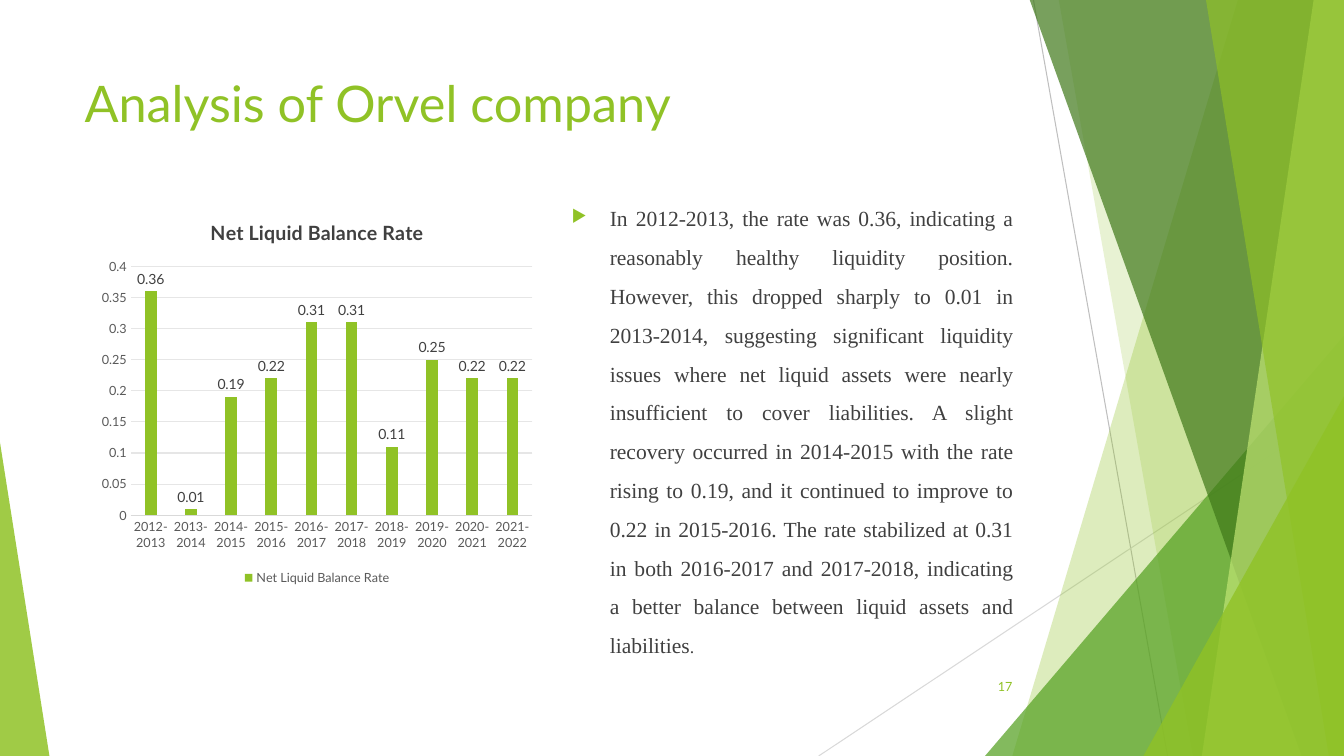
from lxml.etree import SubElement
from pptx import Presentation
from pptx.chart.data import CategoryChartData
from pptx.dml.color import RGBColor
from pptx.enum.chart import XL_CHART_TYPE as ChartType, XL_LABEL_POSITION as LabelPosition
from pptx.enum.chart import XL_LEGEND_POSITION as LegendPosition, XL_TICK_MARK as TickMark
from pptx.enum.shapes import MSO_CONNECTOR as Connector, MSO_SHAPE as Shape
from pptx.enum.text import MSO_ANCHOR as Anchor, PP_ALIGN as Align
from pptx.oxml.ns import qn
from pptx.util import Inches, Pt

LIME = RGBColor(0x90, 0xC2, 0x26)
PALE_LIME = RGBColor(0xC0, 0xE4, 0x74)
GREEN = RGBColor(0x54, 0xA0, 0x21)
FOREST = RGBColor(0x3F, 0x78, 0x19)
CHARCOAL = RGBColor(0x40, 0x40, 0x40)
GRAY = RGBColor(0x59, 0x59, 0x59)
SILVER = RGBColor(0xBF, 0xBF, 0xBF)
LIGHT_GRAY = RGBColor(0xD9, 0xD9, 0xD9)
GRID_GRAY = RGBColor(0xE6, 0xE6, 0xE6)

WIDTH, HEIGHT, BLEED = 13.33, 7.5, -0.01
RATE = "Net Liquid Balance Rate"
RATES = [0.36, 0.01, 0.19, 0.22, 0.31, 0.31, 0.11, 0.25, 0.22, 0.22]
YEARS = [f"{year}-{year + 1}" for year in range(2012, 2012 + len(RATES))]
ANALYSIS = (
    "In 2012-2013, the rate was 0.36, indicating a reasonably healthy liquidity position. "
    "However, this dropped sharply to 0.01 in 2013-2014, suggesting significant liquidity "
    "issues where net liquid assets were nearly insufficient to cover liabilities. A slight "
    "recovery occurred in 2014-2015 with the rate rising to 0.19, and it continued to improve "
    "to 0.22 in 2015-2016. The rate stabilized at 0.31 in both 2016-2017 and 2017-2018, "
    "indicating a better balance between liquid assets and liabilities"
)


def set_values(target, values):
    for name, value in values.items():
        setattr(target, name, value)


class SlideBuilder:
    font_name = "Lato"
    line_width = Pt(0.75)

    def __init__(self, slide):
        self.slide = slide
        self.shapes = slide.shapes

    def style_font(self, font, size, color, name=None, bold=False):
        set_values(font, {"name": name or self.font_name, "size": Pt(size), "bold": bold})
        font.color.rgb = color

    def style_line(self, line, color):
        line.color.rgb = color
        line.width = self.line_width

    def line(self, start, end, color):
        points = [Inches(value) for value in (*start, *end)]
        connector = self.shapes.add_connector(Connector.STRAIGHT, *points)
        self.style_line(connector.line, color)
        SubElement(connector._element.spPr, qn("a:effectLst"))

    def paint(self, shape, color, opacity):
        shape.shadow.inherit = False
        shape.fill.solid()
        shape.fill.fore_color.rgb = color
        shape.line.fill.background()
        color_element = shape._element.spPr.find(f"{qn('a:solidFill')}/{qn('a:srgbClr')}")
        SubElement(color_element, qn("a:alpha"), val=str(opacity * 1000))

    def band(self, top_left, bottom_left, color, opacity):
        corners = [(WIDTH, BLEED), (WIDTH, HEIGHT), (bottom_left, HEIGHT)]
        builder = self.shapes.build_freeform(Inches(top_left), Inches(BLEED))
        builder.add_line_segments([(Inches(x), Inches(y)) for x, y in corners], close=True)
        self.paint(builder.convert_to_shape(), color, opacity)

    def triangle(self, left, top, width, apex, color, opacity):
        box = [Inches(value) for value in (left, top, width, HEIGHT - top)]
        shape = self.shapes.add_shape(Shape.ISOSCELES_TRIANGLE, *box)
        shape.adjustments[0] = apex
        self.paint(shape, color, opacity)

    def text(self, box, runs, frame_format=None, paragraph_format=None):
        shape = self.shapes.add_textbox(*[Inches(value) for value in box])
        set_values(shape.text_frame, {"word_wrap": True, **(frame_format or {})})
        paragraph = shape.text_frame.paragraphs[0]
        set_values(paragraph, paragraph_format or {})
        for content, *style in runs:
            run = paragraph.add_run()
            run.text = content
            self.style_font(run.font, *style)
        return paragraph

    def bullet(self, paragraph, character, color, percent, indent):
        properties = paragraph._p.get_or_add_pPr()
        properties.set("marL", str(Inches(indent)))
        properties.set("indent", str(-Inches(indent)))
        bullet_color = SubElement(properties, qn("a:buClr"))
        SubElement(bullet_color, qn("a:srgbClr"), val=str(color))
        SubElement(properties, qn("a:buSzPct"), val=str(percent * 1000))
        SubElement(properties, qn("a:buChar"), char=character)

    def column_chart(self, box, title, categories, values, color):
        data = CategoryChartData()
        data.categories = categories
        data.add_series(title, values)
        frame = self.shapes.add_chart(
            ChartType.COLUMN_CLUSTERED, *[Inches(value) for value in box], data)
        chart = frame.chart
        set_values(chart, {"has_title": True, "has_legend": True})
        chart.font.name = self.font_name
        chart.font.size = Pt(10)

        chart.chart_title.text_frame.text = title
        title_run = chart.chart_title.text_frame.paragraphs[0].runs[0]
        self.style_font(title_run.font, 14, CHARCOAL, bold=True)
        set_values(chart.legend, {"position": LegendPosition.BOTTOM, "include_in_layout": False})
        self.style_font(chart.legend.font, 9, GRAY)

        for axis in (chart.category_axis, chart.value_axis):
            set_values(axis, {"major_tick_mark": TickMark.NONE, "minor_tick_mark": TickMark.NONE})
            self.style_font(axis.tick_labels.font, 9, GRAY)
        self.style_line(chart.category_axis.format.line, LIGHT_GRAY)
        set_values(chart.value_axis, {"minimum_scale": 0, "maximum_scale": 0.4, "major_unit": 0.05})
        chart.value_axis.format.line.fill.background()
        self.style_line(chart.value_axis.major_gridlines.format.line, GRID_GRAY)

        plot = chart.plots[0]
        set_values(plot, {"gap_width": 246, "overlap": -28, "vary_by_categories": False})
        series = plot.series[0]
        series.format.fill.solid()
        series.format.fill.fore_color.rgb = color
        set_values(series.data_labels, {"show_value": True, "position": LabelPosition.OUTSIDE_END})
        self.style_font(series.data_labels.font, 10, CHARCOAL)


def main():
    presentation = Presentation()
    set_values(presentation, {"slide_width": Inches(WIDTH), "slide_height": Inches(HEIGHT)})
    builder = SlideBuilder(presentation.slides.add_slide(presentation.slide_layouts[6]))

    builder.line((10.25, 0), (11.58, HEIGHT), SILVER)
    builder.line((WIDTH, 4.03), (8.12, HEIGHT), LIGHT_GRAY)
    builder.band(12.28, 10.04, LIME, 30)
    builder.band(10.5, 11.83, LIME, 20)
    builder.triangle(9.77, 3.33, 3.56, 1, GREEN, 72)
    builder.band(10.21, 12.91, FOREST, 70)
    builder.band(13.03, 11.92, PALE_LIME, 70)
    builder.band(11.96, 13.18, LIME, 65)
    builder.triangle(11.34, 3.93, 1.99, 1, LIME, 80)
    builder.triangle(0, 4.39, 0.49, 0, LIME, 85)

    builder.text((0.74, 0.67, 9.4, 1.44), [("Analysis of Orvel company", 36, LIME)])
    builder.column_chart((0.92, 2, 4.45, 3.85), RATE, YEARS, RATES, LIME)
    analysis = builder.text(
        (5.57, 1.86, 4.58, 4.24),
        [(ANALYSIS, 15.4, CHARCOAL, "Times New Roman"), (".", 12.6, CHARCOAL, "Times New Roman")],
        paragraph_format={"alignment": Align.JUSTIFY, "line_spacing": 1.5, "space_before": Pt(10)},
    )
    builder.bullet(analysis, "▶", LIME, 80, 0.38)
    builder.text(
        (9.39, 6.61, 0.75, 0.4), [("17", 9, LIME)],
        {"vertical_anchor": Anchor.MIDDLE}, {"alignment": Align.RIGHT},
    )
    presentation.save("out.pptx")


if __name__ == "__main__":
    main()
